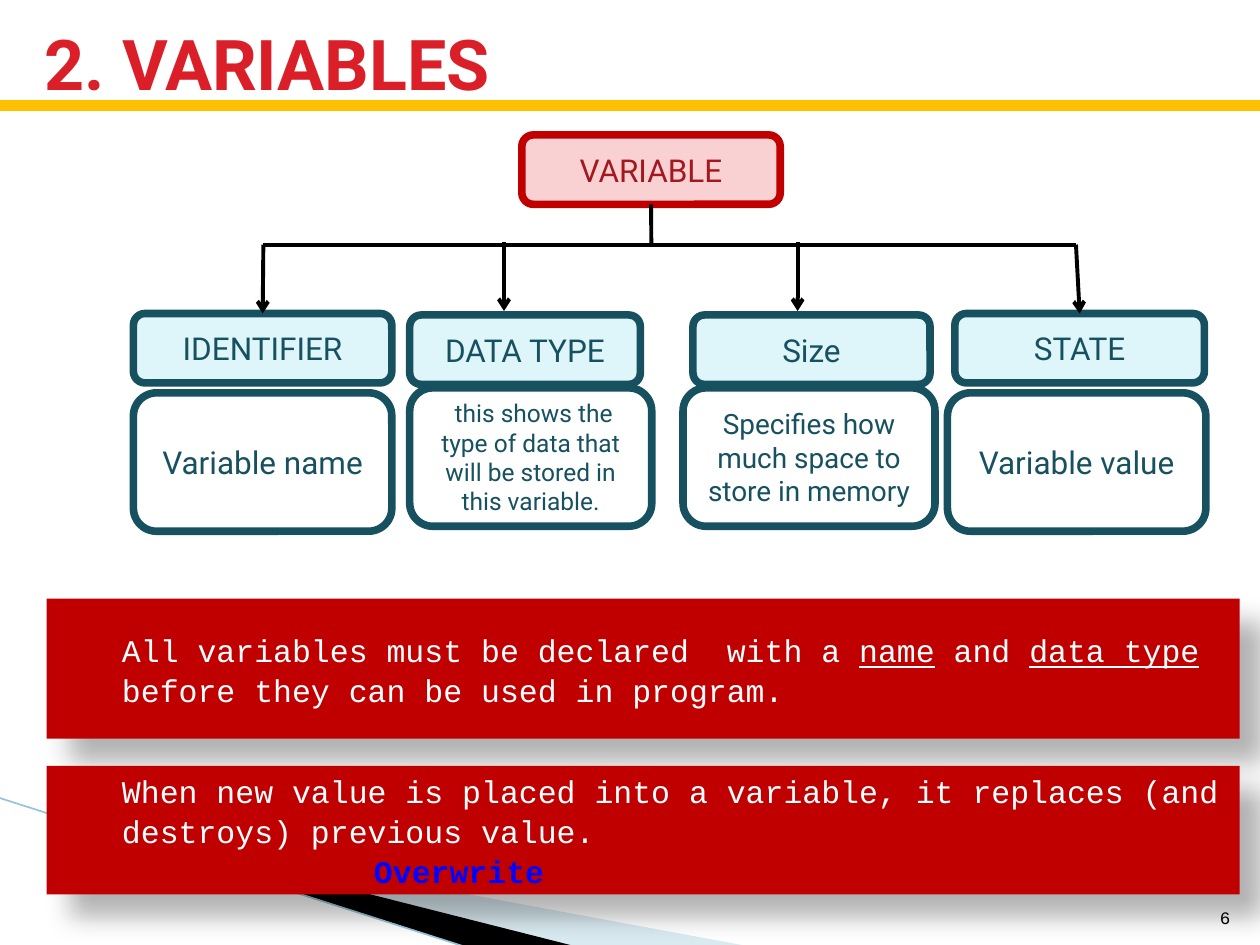
"""Build the slide on variables: a tree of four properties and two rules."""
import pptx
import pptx.dml.color
import pptx.enum.shapes
import pptx.enum.text
import pptx.oxml
import pptx.oxml.ns
import pptx.util

Cm = pptx.util.Cm
Pt = pptx.util.Pt
RGBColor = pptx.dml.color.RGBColor
SHAPE = pptx.enum.shapes.MSO_SHAPE
ALIGN = pptx.enum.text.PP_ALIGN
ANCHOR = pptx.enum.text.MSO_ANCHOR

RED = RGBColor(0xC0, 0x00, 0x00)
TITLE_RED = RGBColor(0xDA, 0x1F, 0x28)
DARK_RED = RGBColor(0xA3, 0x17, 0x1E)
PINK = RGBColor(0xF9, 0xD1, 0xD3)
TEAL = RGBColor(0x17, 0x51, 0x60)
PALE_TEAL = RGBColor(0xDE, 0xF5, 0xFA)
MIST = RGBColor(0xA0, 0xCB, 0xDC)
SKY = RGBColor(0x97, 0xC5, 0xD8)
GOLD = RGBColor(0xFF, 0xC0, 0x00)
BLUE = RGBColor(0x00, 0x00, 0xFF)
WHITE = RGBColor(0xFF, 0xFF, 0xFF)
BLACK = RGBColor(0x00, 0x00, 0x00)

SANS, MONO = "Roboto", "Courier New"
BUS_Y = 4.93


def add_xml(parent, xml):
    """Append a DrawingML element, given as a tag with its content, to parent."""
    head, rest = xml.split(" ", 1)
    el = pptx.oxml.parse_xml(f"{head} {pptx.oxml.ns.nsdecls('a')} {rest}")
    parent.append(el)


def write(p, text, size=18, font=SANS, color=TEAL, bold=False, underline=False):
    """Add one formatted run to a paragraph."""
    r = p.add_run()
    r.text = text
    r.font.size = Pt(size)
    r.font.name = font
    r.font.color.rgb = color
    r.font.bold = bold
    r.font.underline = underline


def add_label(s, box, text, align=ALIGN.LEFT, anchor=ANCHOR.MIDDLE, **fmt):
    """Add a text box with one line of text."""
    tf = s.shapes.add_textbox(*map(Cm, box)).text_frame
    tf.word_wrap = True
    tf.vertical_anchor = anchor
    tf.paragraphs[0].alignment = align
    write(tf.paragraphs[0], text, **fmt)


def add_box(s, box, text, fill, line=TEAL, **fmt):
    """Add a rounded box with centred text."""
    sp = s.shapes.add_shape(SHAPE.ROUNDED_RECTANGLE, *map(Cm, box))
    sp.shadow.inherit = False
    sp.fill.solid()
    sp.fill.fore_color.rgb = fill
    sp.line.color.rgb = line
    sp.line.width = Pt(4.33)
    tf = sp.text_frame
    tf.word_wrap = True
    tf.vertical_anchor = ANCHOR.MIDDLE
    tf.paragraphs[0].alignment = ALIGN.CENTER
    write(tf.paragraphs[0], text, **fmt)
    return sp


def add_line(s, start, end, color=BLACK, width=2.25, arrow=False, joined=None):
    """Add a line, with an optional arrowhead and a (shape, site) join at its start."""
    kind = pptx.enum.shapes.MSO_CONNECTOR.STRAIGHT
    cx = s.shapes.add_connector(kind, *map(Cm, start + end))
    cx.line.color.rgb = color
    cx.line.width = Pt(width)
    if arrow:
        add_xml(cx.line._get_or_add_ln(), '<a:headEnd type="arrow"/>')
    add_xml(cx._element.spPr, "<a:effectLst />")
    if joined:
        cx.begin_connect(*joined)


def add_wedge(s, points, color, alpha=None):
    """Add a filled outline, optionally see-through."""
    pts = [(Cm(x), Cm(y)) for x, y in points]
    fb = s.shapes.build_freeform(*pts[0], scale=1.0)
    fb.add_line_segments(pts[1:], close=True)
    sp = fb.convert_to_shape()
    sp.shadow.inherit = False
    sp.fill.solid()
    sp.fill.fore_color.rgb = color
    sp.line.fill.background()
    if alpha:
        clr = sp._element.spPr.find(".//" + pptx.oxml.ns.qn("a:srgbClr"))
        add_xml(clr, f'<a:alpha val="{alpha * 1000}"/>')


def add_banner(s, top, height, paragraphs):
    """Add a red banner with a soft shadow; paragraphs are (indent, runs)."""
    sp = s.shapes.add_shape(SHAPE.RECTANGLE, *map(Cm, (0.94, top, 24.05, height)))
    sp.fill.solid()
    sp.fill.fore_color.rgb = RED
    sp.line.fill.background()
    add_xml(sp._element.spPr,
            f'<a:effectLst ><a:outerShdw blurRad="{Pt(15)}" dist="{Pt(18)}" '
            'dir="2700000" algn="tl" rotWithShape="0"><a:srgbClr val="000000">'
            '<a:alpha val="30000"/></a:srgbClr></a:outerShdw></a:effectLst>')
    tf = sp.text_frame
    tf.word_wrap = True
    tf.vertical_anchor = ANCHOR.MIDDLE
    for i, (indent, runs) in enumerate(paragraphs):
        p = tf.add_paragraph() if i else tf.paragraphs[0]
        p.alignment = ALIGN.LEFT
        p.line_spacing = 1.06
        p._p.get_or_add_pPr().set("marL", str(Cm(indent)))
        for text, fmt in runs:
            write(p, text, **{"font": MONO, "color": WHITE, **fmt})


def add_backdrop(s):
    """Add the corner wedges and the gold rule."""
    add_wedge(s, [(1.4, 16.54), (15.11, 19.08), (11.58, 19.08), (1.4, 16.51)], MIST, 40)
    add_wedge(s, [(1.35, 16.48), (11.61, 19.08), (9.45, 19.1), (1.37, 16.51)], BLACK)
    add_line(s, (-0.03, 16.08), (9.42, 19.1), SKY, 0.95)
    add_line(s, (0, 2.13), (25.4, 2.13), GOLD, 6)


def add_tree(s):
    """Add the root box, the four property cards and their connectors."""
    root = add_box(s, (10.52, 2.72, 5.21, 1.4), "VARIABLE", PINK, RED, color=DARK_RED)
    cards = [
        ("IDENTIFIER", 2.69, 5.21, 6.32, "Variable name", 2.69, 5.21, 7.92, 18),
        ("DATA TYPE", 8.26, 4.65, 6.35,
         " this shows the type of data that will be stored in this variable.",
         8.26, 4.88, 7.82, 14),
        ("Size", 13.97, 4.78, 6.35, "Specifies how much space to store in memory",
         13.77, 5.08, 7.82, 16),
        ("STATE", 19.25, 5.03, 6.32, "Variable value", 19.1, 5.21, 7.92, 18),
    ]
    heads = []
    for head, x, w, y, body, body_x, body_w, body_y, size in cards:
        heads.append(add_box(s, (x, y, w, 1.4), head, PALE_TEAL))
        add_box(s, (body_x, body_y, body_w, 2.79), body, WHITE, size=size)
    left, right = 5.31, 21.69
    add_line(s, (left, BUS_Y), (right, BUS_Y))
    add_line(s, (13.13, 4.12), (13.13, BUS_Y), joined=(root, 2))
    for x, head in ((left, heads[0]), (right, heads[3])):
        add_line(s, (x, 6.32), (x, BUS_Y), arrow=True, joined=(head, 0))
    for x in (10.16, 16.08):
        add_line(s, (x, 6.27), (x, 4.88), arrow=True)


def main():
    """Build and save the slide."""
    prs = pptx.Presentation()
    prs.slide_width, prs.slide_height = Cm(25.4), Cm(19.05)
    s = prs.slides.add_slide(prs.slide_layouts[6])
    add_backdrop(s)
    add_label(s, (0.64, 0.43, 24.05, 1.65), "2. VARIABLES",
              size=40, color=TITLE_RED, bold=True)
    add_tree(s)
    add_label(s, (24.03, 17.81, 1.02, 1.02), "6", align=ALIGN.RIGHT,
              anchor=ANCHOR.BOTTOM, size=10, font=MONO, color=BLACK)
    add_banner(s, 12.07, 2.82, [(1.27, [
        ("All variables must be declared  with a ", {}),
        ("name", {"underline": True}),
        (" and ", {}),
        ("data type", {"underline": True}),
        (" before they can be used in program.", {})])])
    add_banner(s, 15.44, 2.59, [
        (1.27, [("When new value is placed into a variable, it replaces "
                 "(and destroys) previous value.", {})]),
        (6.35, [("Overwrite", {"color": BLUE, "bold": True})])])
    prs.save("out.pptx")


if __name__ == "__main__":
    main()
